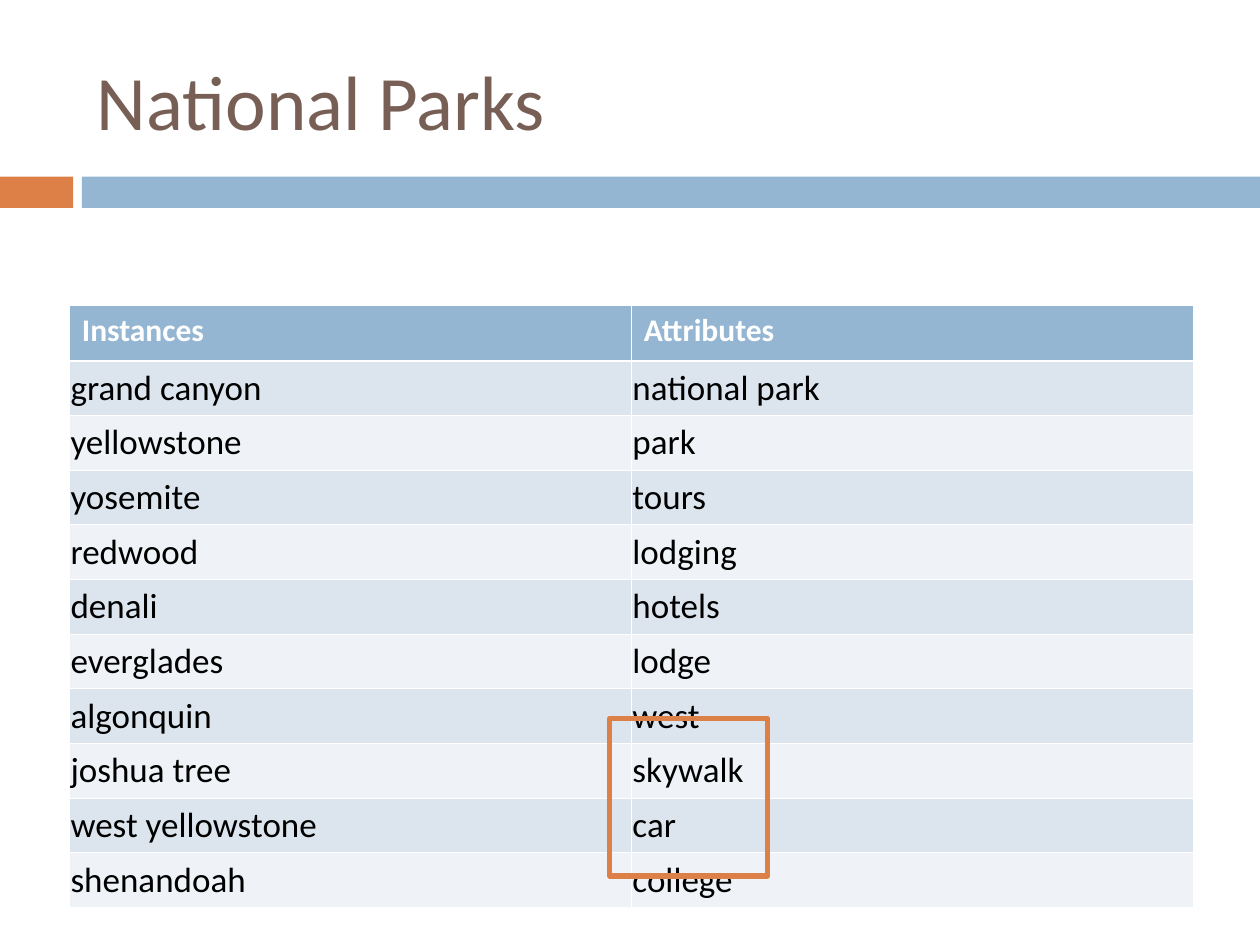
from dataclasses import dataclass

from lxml import etree
from pptx import Presentation
from pptx.dml.color import RGBColor
from pptx.enum.shapes import MSO_SHAPE
from pptx.enum.text import MSO_ANCHOR
from pptx.oxml.ns import qn
from pptx.util import Inches, Pt

RECTANGLE = MSO_SHAPE.RECTANGLE
MIDDLE, BOTTOM, TOP = MSO_ANCHOR.MIDDLE, MSO_ANCHOR.BOTTOM, MSO_ANCHOR.TOP


@dataclass(frozen=True)
class Theme:
    font: str = "Calibri"
    title: str = "775F55"
    blue: str = "94B6D2"
    orange: str = "DD8047"
    white: str = "FFFFFF"
    black: str = "000000"
    bands: tuple = ("DCE5EE", "EFF3F7")
    title_size: int = 44
    header_size: int = 18
    body_size: int = 20
    rule: float = 0.45
    header_rule: float = 1.47
    frame_line: int = 3


@dataclass(frozen=True)
class Box:
    """A region in inches."""
    left: float
    top: float
    width: float
    height: float

    def share(self, left, top, width, height):
        """Return a region given as percentages of this one."""
        return Box(self.left + left * self.width / 100,
                   self.top + top * self.height / 100,
                   width * self.width / 100, height * self.height / 100)

    def lengths(self):
        return [Inches(n) for n in (self.left, self.top, self.width, self.height)]


THEME = Theme()
PAGE = Box(0, 0, 10, 7.5)
HEADER_ROW, BODY_ROW = 0.44, 0.4
ROWS = [
    ("Instances", "Attributes"),
    ("grand canyon", "national park"),
    ("yellowstone", "park"),
    ("yosemite", "tours"),
    ("redwood", "lodging"),
    ("denali", "hotels"),
    ("everglades", "lodge"),
    ("algonquin", "west"),
    ("joshua tree", "skywalk"),
    ("west yellowstone", "car"),
    ("shenandoah", "college"),
]


def write_text(frame, text, size, color, bold=False):
    span = frame.paragraphs[0].add_run()
    span.text = text
    span.font.name = THEME.font
    span.font.size = Pt(size)
    span.font.bold = bold
    span.font.color.rgb = RGBColor.from_string(color)


def add_rectangle(page, box, fill=None, line=None):
    shape = page.shapes.add_shape(RECTANGLE, *box.lengths())
    shape.shadow.inherit = False
    if fill:
        shape.fill.solid()
        shape.fill.fore_color.rgb = RGBColor.from_string(fill)
    else:
        shape.fill.background()
    if line:
        shape.line.color.rgb = RGBColor.from_string(line)
        shape.line.width = Pt(THEME.frame_line)
    else:
        shape.line.fill.background()


def add_band(page, box):
    add_rectangle(page, box.share(0, 0, 5.8, 100), fill=THEME.orange)
    add_rectangle(page, box.share(6.5, 0, 93.5, 100), fill=THEME.blue)


def add_title(page, box, text):
    frame = page.shapes.add_textbox(*box.lengths()).text_frame
    frame.word_wrap = True
    frame.vertical_anchor = MIDDLE
    write_text(frame, text, THEME.title_size, THEME.title)


def set_borders(cell, **widths):
    """Draw white borders; widths are points by side (L, R, T, B)."""
    properties = cell._tc.get_or_add_tcPr()
    for side, width in widths.items():
        line = etree.SubElement(properties, qn(f"a:ln{side}"), w=str(int(Pt(width))))
        fill = etree.SubElement(line, qn("a:solidFill"))
        etree.SubElement(fill, qn("a:srgbClr"), val=THEME.white)


def fill_cell(cell, text, row):
    header = row == 0
    cell.vertical_anchor = TOP if header else BOTTOM
    cell.margin_left = cell.margin_right = Inches(0.1 if header else 0.01)
    cell.margin_top = cell.margin_bottom = Inches(0.05)
    set_borders(cell, L=THEME.rule, R=THEME.rule,
                T=THEME.header_rule if row == 1 else THEME.rule,
                B=THEME.header_rule if header else THEME.rule)
    cell.fill.solid()
    color = THEME.blue if header else THEME.bands[(row - 1) % 2]
    cell.fill.fore_color.rgb = RGBColor.from_string(color)
    write_text(cell.text_frame, text,
               THEME.header_size if header else THEME.body_size,
               THEME.white if header else THEME.black, bold=header)


def add_park_table(page, box, rows):
    table = page.shapes.add_table(len(rows), len(rows[0]), *box.lengths()).table
    for index, values in enumerate(rows):
        table.rows[index].height = Inches(BODY_ROW if index else HEADER_ROW)
        for column, text in enumerate(values):
            fill_cell(table.cell(index, column), text, index)


def build_park_slide(page, box):
    # Heading and the band below it
    add_band(page, box.share(0, 18.7, 100, 3.3))
    add_title(page, box.share(6.7, 3.3, 89.2, 14.4), "National Parks")

    # Instances and attributes
    table_height = HEADER_ROW + BODY_ROW * (len(ROWS) - 1)
    add_park_table(page, box.share(5.5, 32.3, 89.2, 100 * table_height / box.height),
                   ROWS)

    # Frame around the odd attributes
    add_rectangle(page, box.share(48.4, 76, 12.5, 16.7), line=THEME.orange)


def main():
    deck = Presentation()
    deck.slide_width, deck.slide_height = Inches(PAGE.width), Inches(PAGE.height)
    page = deck.slides.add_slide(deck.slide_layouts[6])
    build_park_slide(page, PAGE)
    deck.save("out.pptx")


if __name__ == "__main__":
    main()
